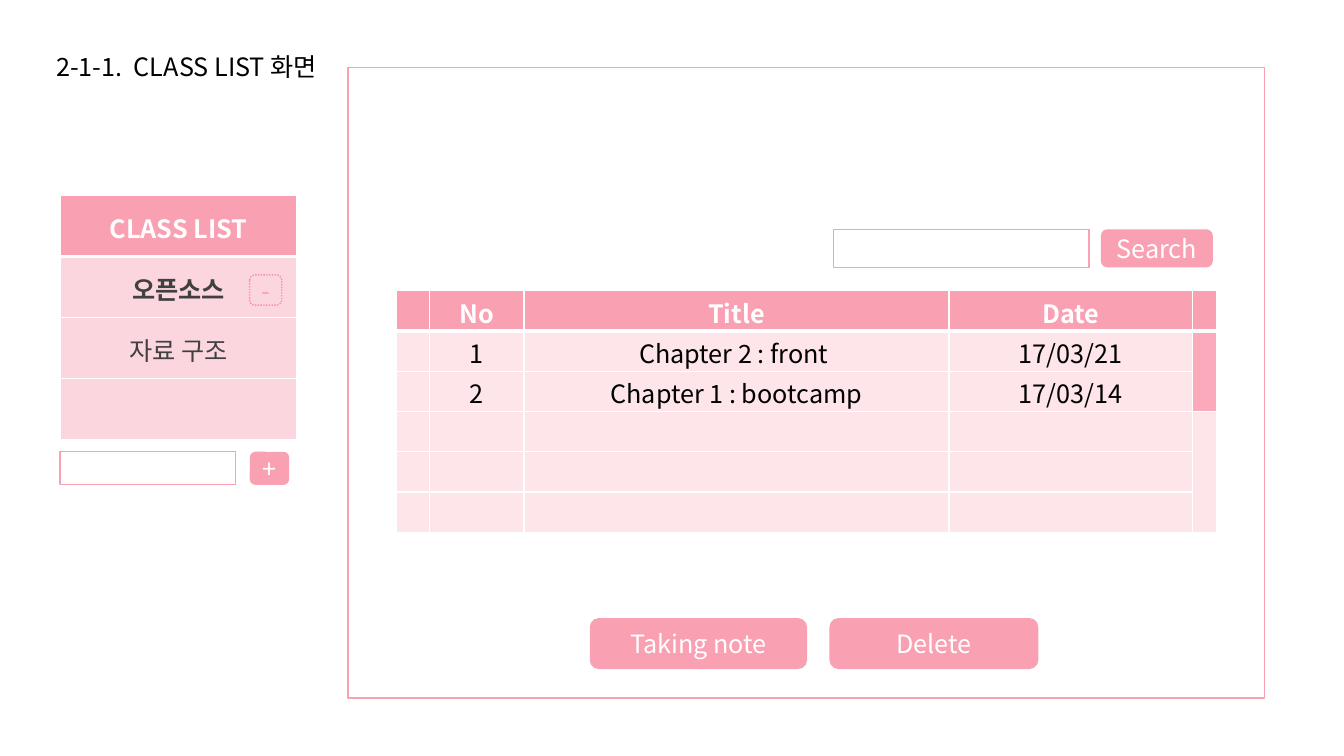
"""Build the class list screen of a note-taking app."""
from dataclasses import dataclass

import pptx
import pptx.util
import pptx.dml.color
import pptx.enum.dml
import pptx.enum.shapes
import pptx.enum.text
import pptx.oxml
import pptx.oxml.ns

Pt = pptx.util.Pt
Align = pptx.enum.text.PP_ALIGN
Anchor = pptx.enum.text.MSO_ANCHOR
Preset = pptx.enum.shapes.MSO_SHAPE


@dataclass(frozen=True)
class Theme:
    """Colours, font and sizes of the screen."""
    pink: str = "FAA0B3"
    dotted: str = "F98FA6"
    white: str = "FFFFFF"
    black: str = "000000"
    grey: str = "404040"
    font: str = "Noto Sans CJK KR"
    size: float = 18
    line: float = 1
    header_line: float = 3


def rgb(value):
    """Return the colour for a hex string."""
    return pptx.dml.color.RGBColor.from_string(value)


def write(frame, text, *, theme, color, bold=False, align=Align.CENTER):
    """Put one formatted line of text into a frame."""
    paragraph = frame.paragraphs[0]
    paragraph.alignment = align
    run = paragraph.add_run()
    run.text = text
    run.font.name = theme.font
    run.font.size = Pt(theme.size)
    run.font.bold = bold
    run.font.color.rgb = rgb(color)
    east_asian = pptx.oxml.parse_xml(
        f'<a:ea {pptx.oxml.ns.nsdecls("a")} typeface="{theme.font}"/>')
    run.font._element.find(pptx.oxml.ns.qn("a:latin")).addnext(east_asian)


class Screen:
    """Draws the parts of the screen on one slide."""

    def __init__(self, slide, theme):
        """Keep the slide and the theme."""
        self.slide = slide
        self.theme = theme

    def label(self, text, left, top, width, height):
        """Add a left-aligned heading."""
        box = self.slide.shapes.add_textbox(Pt(left), Pt(top), Pt(width), Pt(height))
        box.text_frame.word_wrap = True
        write(box.text_frame, text, theme=self.theme, color=self.theme.black,
              align=Align.LEFT)

    def box(self, left, top, width, height, *, preset=Preset.RECTANGLE,
            fill=None, line=None, dash=None, text="", color=None):
        """Add a field, frame or button."""
        shape = self.slide.shapes.add_shape(
            preset, Pt(left), Pt(top), Pt(width), Pt(height))
        shape.shadow.inherit = False
        if fill:
            shape.fill.solid()
            shape.fill.fore_color.rgb = rgb(fill)
        else:
            shape.fill.background()
        if line:
            shape.line.color.rgb = rgb(line)
            shape.line.width = Pt(self.theme.line)
            if dash:
                shape.line.dash_style = dash
        else:
            shape.line.fill.background()
        if text:
            frame = shape.text_frame
            frame.vertical_anchor = Anchor.MIDDLE
            frame.margin_left = frame.margin_right = 0
            frame.margin_top = frame.margin_bottom = 0
            write(frame, text, theme=self.theme, color=color or self.theme.white)

    def button(self, text, left, top, width, height, line=None):
        """Add a filled rounded button."""
        self.box(left, top, width, height, preset=Preset.ROUNDED_RECTANGLE,
                 fill=self.theme.pink, line=line, text=text)

    def table(self, rows, left, top, widths, row_height, *, opacity, color,
              bold_rows=(0,)):
        """Add a table with a solid header and a translucent body."""
        table = self.slide.shapes.add_table(
            len(rows), len(widths), Pt(left), Pt(top), Pt(sum(widths)),
            Pt(row_height * len(rows))).table
        table.horz_banding = False
        for column, width in zip(table.columns, widths):
            column.width = Pt(width)
        for row_no, row in enumerate(rows):
            for col_no, text in enumerate(row):
                cell = table.cell(row_no, col_no)
                cell.vertical_anchor = Anchor.MIDDLE
                cell.margin_top, cell.margin_bottom = Pt(2), 0
                self.paint(cell, 100 if row_no == 0 else opacity)
                self.border(cell, row_no)
                if text:
                    write(cell.text_frame, text, theme=self.theme,
                          color=color if row_no else self.theme.white,
                          bold=row_no in bold_rows)
        return table

    def paint(self, cell, opacity):
        """Fill a cell with pink at an opacity in percent."""
        cell.fill.solid()
        cell.fill.fore_color.rgb = rgb(self.theme.pink)
        if opacity < 100:
            tone = cell._tc.tcPr.find(
                f'{pptx.oxml.ns.qn("a:solidFill")}/{pptx.oxml.ns.qn("a:srgbClr")}')
            tone.append(pptx.oxml.parse_xml(
                f'<a:alpha {pptx.oxml.ns.nsdecls("a")} val="{opacity * 1000}"/>'))

    def border(self, cell, row_no):
        """Draw white cell borders, thicker below the header."""
        heavy = {(0, "B"), (1, "T")}
        for place, side in enumerate("LRTB"):
            thick = (row_no, side) in heavy
            width = Pt(self.theme.header_line if thick else self.theme.line)
            cell._tc.tcPr.insert(place, pptx.oxml.parse_xml(
                f'<a:ln{side} {pptx.oxml.ns.nsdecls("a")} w="{width}"><a:solidFill>'
                f'<a:srgbClr val="{self.theme.white}"/></a:solidFill></a:ln{side}>'))


def main():
    """Compose the screen and save it."""
    deck = pptx.Presentation()
    deck.slide_width, deck.slide_height = Pt(960), Pt(540)
    theme = Theme()
    screen = Screen(deck.slides.add_slide(deck.slide_layouts[6]), theme)

    classes = [["CLASS LIST"], ["오픈소스"], ["자료 구조"], [""]]
    screen.table(classes, 43.4, 139.8, [168.3], 43.5, opacity=43,
                 color=theme.grey, bold_rows=(0, 1))
    screen.box(248.5, 48.1, 654.6, 450.6, line=theme.pink)
    screen.label("2-1-1.  CLASS LIST 화면", 33.1, 33.1, 223.9, 28.8)
    for text, left, width in (("Taking note", 421.8, 154.2), ("Delete", 593, 148.2)):
        screen.button(text, left, 442, width, 35.4, line=theme.pink)

    notes = [
        ["", "No", "Title", "Date", ""],
        ["", "1", "Chapter 2 : front ", "17/03/21", ""],
        ["", "2", "Chapter 1 : bootcamp", "17/03/14", ""],
    ] + [[""] * 5 for _ in range(3)]
    note_table = screen.table(notes, 283.3, 207.7, [23.4, 67.6, 303.6, 173.8, 16.7],
                              28.75, opacity=27, color=theme.black)
    scroll_thumb = note_table.cell(1, 4)
    screen.paint(scroll_thumb, 89)
    scroll_thumb.merge(note_table.cell(2, 4))
    note_table.cell(3, 4).merge(note_table.cell(5, 4))

    screen.box(595.3, 163.8, 182.5, 27.2, line=theme.pink)
    screen.button("Search", 786.4, 163.8, 79.9, 27.2)
    screen.box(42.9, 322.7, 125.4, 23.6, line=theme.pink)
    screen.button("+", 178.4, 322.7, 28.1, 23.6)
    screen.box(178.3, 196.4, 23, 21.6, preset=Preset.ROUNDED_RECTANGLE,
               line=theme.dotted, dash=pptx.enum.dml.MSO_LINE.ROUND_DOT,
               text="-", color=theme.pink)
    deck.save("out.pptx")


if __name__ == "__main__":
    main()
